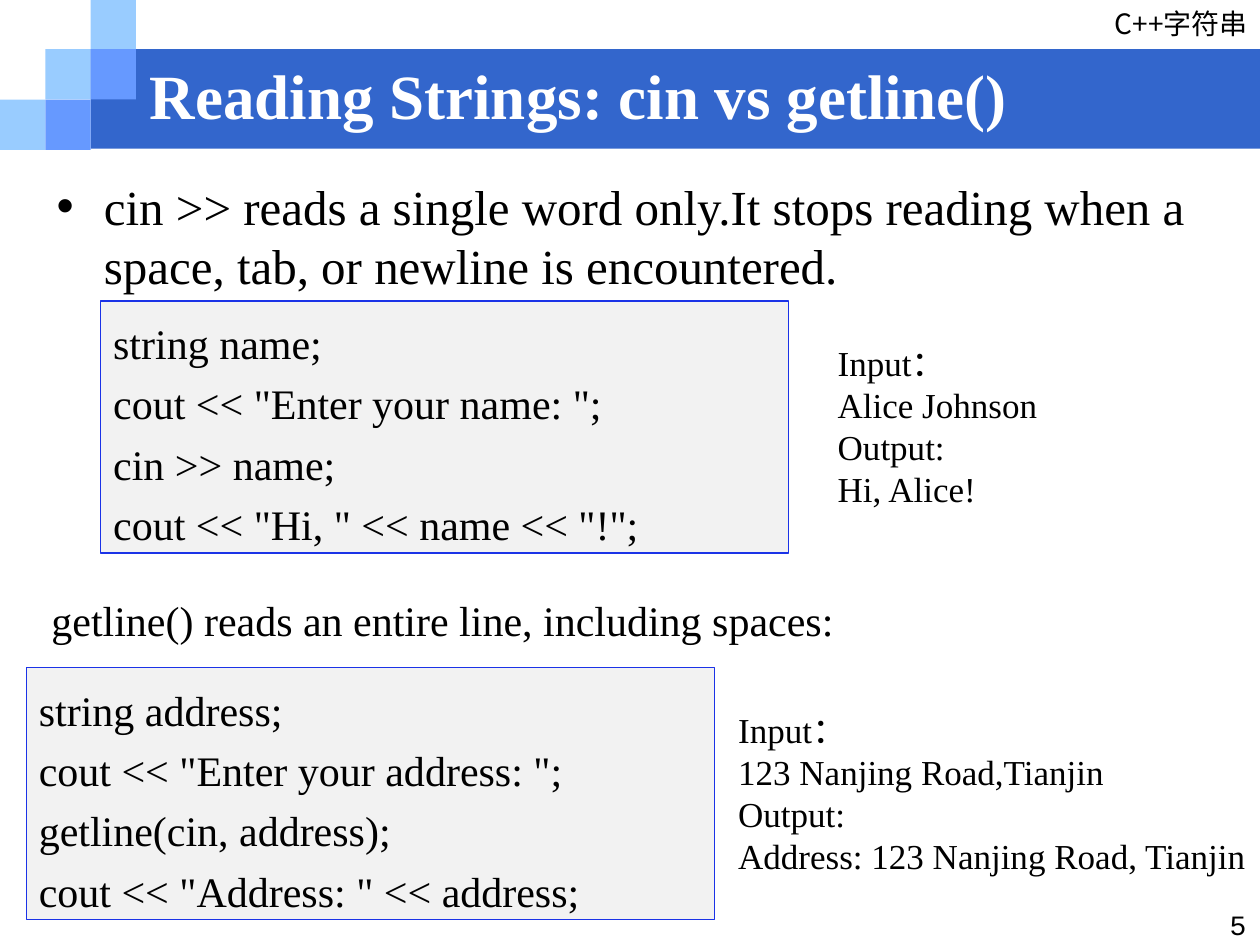
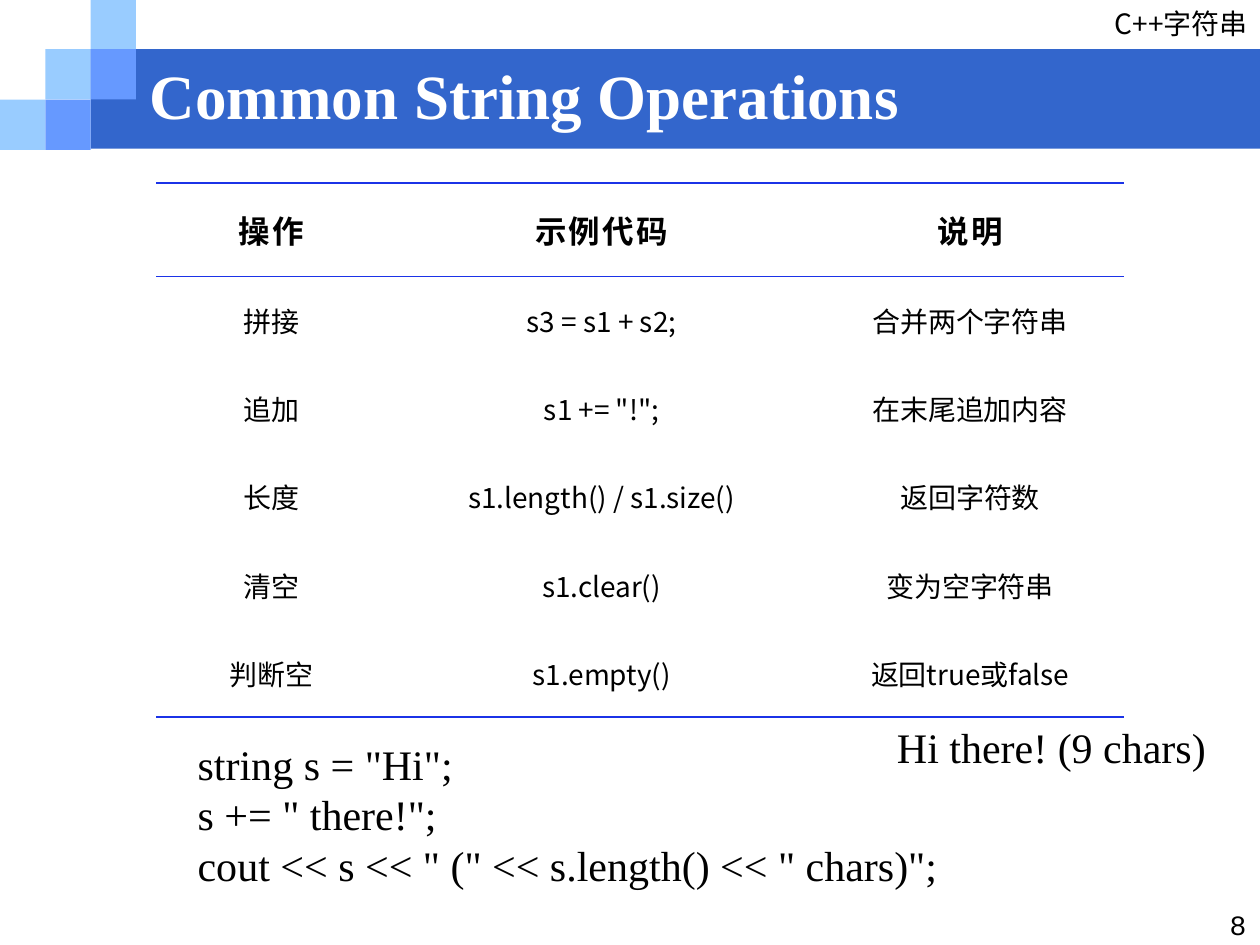
from lxml.etree import SubElement
from pptx import Presentation
from pptx.dml.color import RGBColor
from pptx.enum.shapes import MSO_SHAPE as Shape
from pptx.enum.text import MSO_ANCHOR as Anchor, MSO_AUTO_SIZE as AutoSize, PP_ALIGN as Align
from pptx.oxml.ns import qn
from pptx.util import Inches, Pt

BLACK = RGBColor(0x00, 0x00, 0x00)
WHITE = RGBColor(0xFF, 0xFF, 0xFF)
BAND_BLUE = RGBColor(0x33, 0x66, 0xCC)
MIDDLE_BLUE = RGBColor(0x66, 0x99, 0xFF)
PALE_BLUE = RGBColor(0x99, 0xCC, 0xFF)
RULE_BLUE = RGBColor(0x1B, 0x33, 0xE7)
CODE_GREY = RGBColor(0xF2, 0xF2, 0xF2)

SERIF = "Times New Roman"
CHINESE = "Noto Sans CJK SC"
MONO = "Courier New"

TITLE_AND_BODY, TITLE_ONLY = 1, 5
PLAIN_TABLE_STYLE = "{2D5ABB26-0587-4C30-8999-92F81FD0307C}"
SQUARE_WIDTH, SQUARE_HEIGHT = 0.36, 0.4
SQUARE_TOPS = (0, 0.39, 0.79)
SQUARES = [  # column, row, colour
    (0, 2, PALE_BLUE), (1, 1, PALE_BLUE), (2, 0, PALE_BLUE),
    (2, 1, MIDDLE_BLUE), (1, 2, MIDDLE_BLUE),
]

OPERATIONS = [
    ("操作", "示例代码", "说明"),
    ("拼接", "s3 = s1 + s2;", "合并两个字符串"),
    ("追加", 's1 += "!";', "在末尾追加内容"),
    ("长度", "s1.length() / s1.size()", "返回字符数"),
    ("清空", "s1.clear()", "变为空字符串"),
    ("判断空", "s1.empty()", "返回true或false"),
]


class Deck:
    def __init__(self):
        self.presentation = Presentation()
        self.presentation.slide_width = Inches(10)
        self.presentation.slide_height = Inches(7.5)
        self.slide = None

    def add_slide(self, title, number, layout):
        layouts = self.presentation.slide_layouts
        self.slide = self.presentation.slides.add_slide(layouts[layout])
        self.rectangle(0.72, 0.39, 9.28, 0.79, BAND_BLUE)
        for column, row, colour in SQUARES:
            self.rectangle(column * SQUARE_WIDTH, SQUARE_TOPS[row],
                           SQUARE_WIDTH, SQUARE_HEIGHT, colour)
        self.text(8.5, 0, 1.5, 0.37, ["C++字符串"], 16, CHINESE, align=Align.RIGHT)
        self.text(9.44, 7.15, 0.55, 0.35, [number], 16, MONO, align=Align.RIGHT)

        shape = self.slide.shapes.title
        self.slide.shapes._spTree.append(shape._element)  # in front of the band
        self.place(shape, 1.09, 0.52, 8.23, 0.46)
        self.set_lines(shape.text_frame, [title], 36, colour=WHITE, bold=True)
        shape.text_frame.vertical_anchor = Anchor.MIDDLE

    def place(self, shape, left, top, width, height):
        shape.left, shape.top = Inches(left), Inches(top)
        shape.width, shape.height = Inches(width), Inches(height)

    def set_lines(self, frame, lines, size, font=SERIF, colour=BLACK, bold=False,
                  align=Align.LEFT, line_spacing=None):
        frame.word_wrap = True
        frame.auto_size = AutoSize.NONE
        frame.text = "\n".join(lines)
        for paragraph in frame.paragraphs:
            paragraph.alignment = align
            if line_spacing:
                paragraph.line_spacing = line_spacing
            self.style(paragraph, size, font, colour, bold)

    def style(self, paragraph, size, font, colour=BLACK, bold=False):
        paragraph.font.size = Pt(size)
        paragraph.font.bold = bold
        paragraph.font.color.rgb = colour
        paragraph.font.name = font
        if font == CHINESE:
            SubElement(paragraph.font._element, qn("a:ea"), typeface=font)

    def body(self, left, top, width, height, line, size):
        shape = self.slide.placeholders[1]
        self.place(shape, left, top, width, height)
        properties = shape.text_frame.paragraphs[0]._p.get_or_add_pPr()
        properties.set("marL", "0")
        properties.set("indent", "0")
        SubElement(properties, qn("a:buNone"))
        self.set_lines(shape.text_frame, [line], size)

    def rectangle(self, left, top, width, height, fill, line=None):
        shape = self.slide.shapes.add_shape(
            Shape.RECTANGLE, Inches(left), Inches(top), Inches(width), Inches(height))
        shape.shadow.inherit = False
        shape.fill.solid()
        shape.fill.fore_color.rgb = fill
        if line:
            shape.line.color.rgb = line
            shape.line.width = Pt(0.75)
        else:
            shape.line.fill.background()
        return shape

    def code(self, left, top, lines):
        shape = self.rectangle(left, top, 5.46, 2, CODE_GREY, RULE_BLUE)
        self.set_lines(shape.text_frame, lines, 24, line_spacing=1.2)
        shape.text_frame.vertical_anchor = Anchor.TOP

    def text(self, left, top, width, height, lines, size, font=SERIF, align=Align.LEFT):
        box = self.slide.shapes.add_textbox(
            Inches(left), Inches(top), Inches(width), Inches(height))
        self.set_lines(box.text_frame, lines, size, font, align=align)

    def table(self, left, top, widths, heights, rows):
        """Add a table ruled above and below its header and at its foot."""
        table = self.slide.shapes.add_table(
            len(rows), len(widths), Inches(left), Inches(top),
            Inches(sum(widths)), Inches(sum(heights))).table
        table._tbl.tblPr.find(qn("a:tableStyleId")).text = PLAIN_TABLE_STYLE
        table.horz_banding = False
        for column, width in zip(table.columns, widths):
            column.width = Inches(width)
        for index, (height, texts) in enumerate(zip(heights, rows)):
            table.rows[index].height = Inches(height)
            header = index == 0
            for cell, text in zip(table.rows[index].cells, texts):
                self.cell(cell, text, header)
                if header:
                    self.border(cell, "a:lnT", 1.5)
                    self.border(cell, "a:lnB", 0.75)
                elif index == len(rows) - 1:
                    self.border(cell, "a:lnB", 1.5)
                cell.fill.background()

    def cell(self, cell, text, header):
        cell.text = text
        cell.vertical_anchor = Anchor.MIDDLE
        cell.margin_left = cell.margin_right = Inches(0.28)
        cell.margin_top = cell.margin_bottom = Inches(0.19)
        paragraph = cell.text_frame.paragraphs[0]
        paragraph.alignment = Align.CENTER
        self.style(paragraph, 18 if header else 16, CHINESE, bold=header)
        if header:
            paragraph.font._element.set("spc", "130")

    def border(self, cell, side, width):
        line = SubElement(cell._tc.get_or_add_tcPr(), qn(side), w=str(int(Pt(width))))
        fill = SubElement(line, qn("a:solidFill"))
        SubElement(fill, qn("a:srgbClr"), val=str(RULE_BLUE))


def add_reading_slide(deck):
    deck.add_slide("Reading Strings: cin vs getline()", "5", TITLE_AND_BODY)
    deck.body(0.35, 1.35, 9.19, 1.03,
              "cin >> reads a single word only.It stops reading when a space, tab, "
              "or newline is encountered.", 28)
    deck.text(0.31, 4.67, 9.37, 0.51,
              ["getline() reads an entire line, including spaces:"], 24)
    deck.code(0.8, 2.39, [
        "string name;",
        'cout << "Enter your name: ";',
        "cin >> name;",
        'cout << "Hi, " << name << "!";',
    ])
    deck.code(0.21, 5.3, [
        "string address;",
        'cout << "Enter your address: ";',
        "getline(cin, address);",
        'cout << "Address: " << address;',
    ])
    deck.text(6.55, 2.66, 2.98, 1.45,
              ["Input：", "Alice Johnson", "Output:", "Hi, Alice!"], 20)
    deck.text(5.76, 5.57, 4.24, 1.45,
              ["Input：", "123 Nanjing Road,Tianjin", "Output:",
               "Address: 123 Nanjing Road, Tianjin"], 20)


def add_operations_slide(deck):
    deck.add_slide("Common String Operations", "8", TITLE_ONLY)
    deck.table(1.24, 1.45, [1.83, 3.41, 2.44], [0.69] + [0.66] * 5, OPERATIONS)
    deck.text(1.47, 5.81, 6.69, 1.31, [
        'string s = "Hi";',
        's += " there!";',
        'cout << s << " (" << s.length() << " chars)";',
    ], 24)
    deck.text(7.02, 5.68, 2.78, 0.5, ["Hi there! (9 chars)"], 24)


def main():
    deck = Deck()
    add_reading_slide(deck)
    add_operations_slide(deck)
    deck.presentation.save("out.pptx")


if __name__ == "__main__":
    main()
